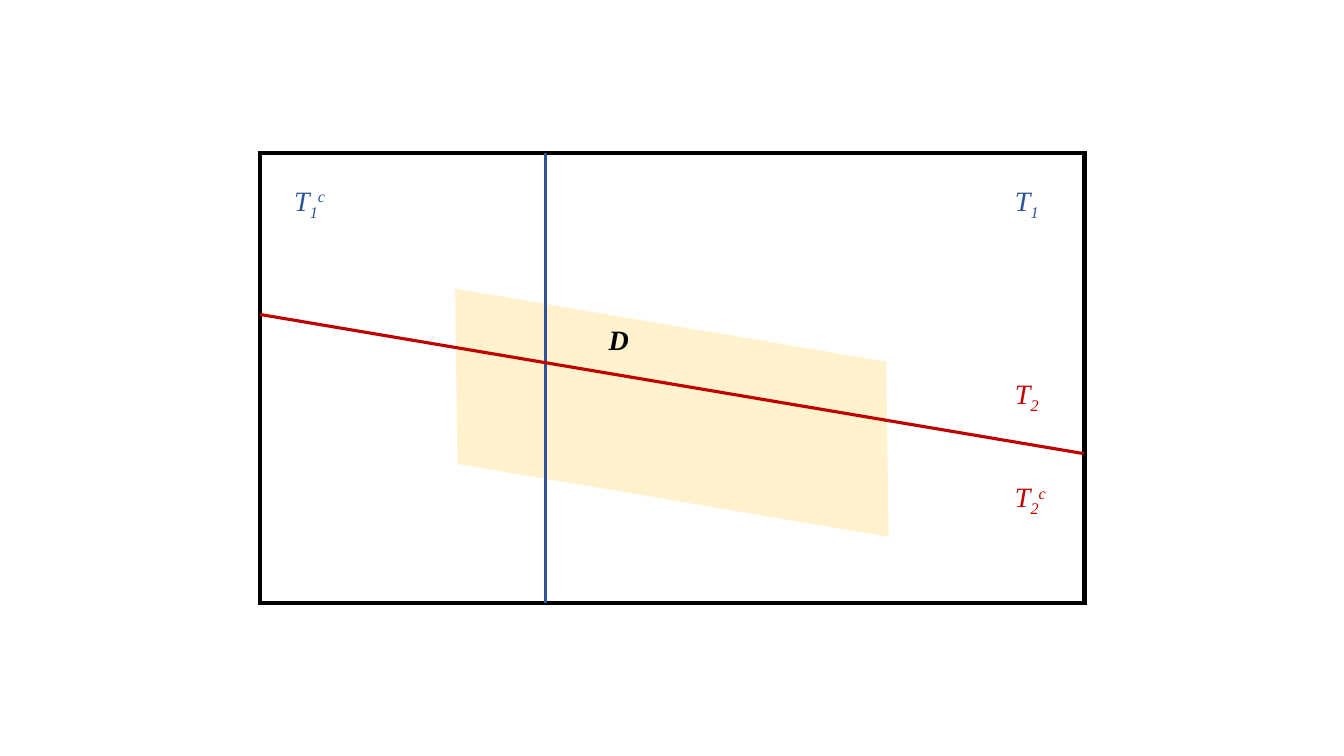
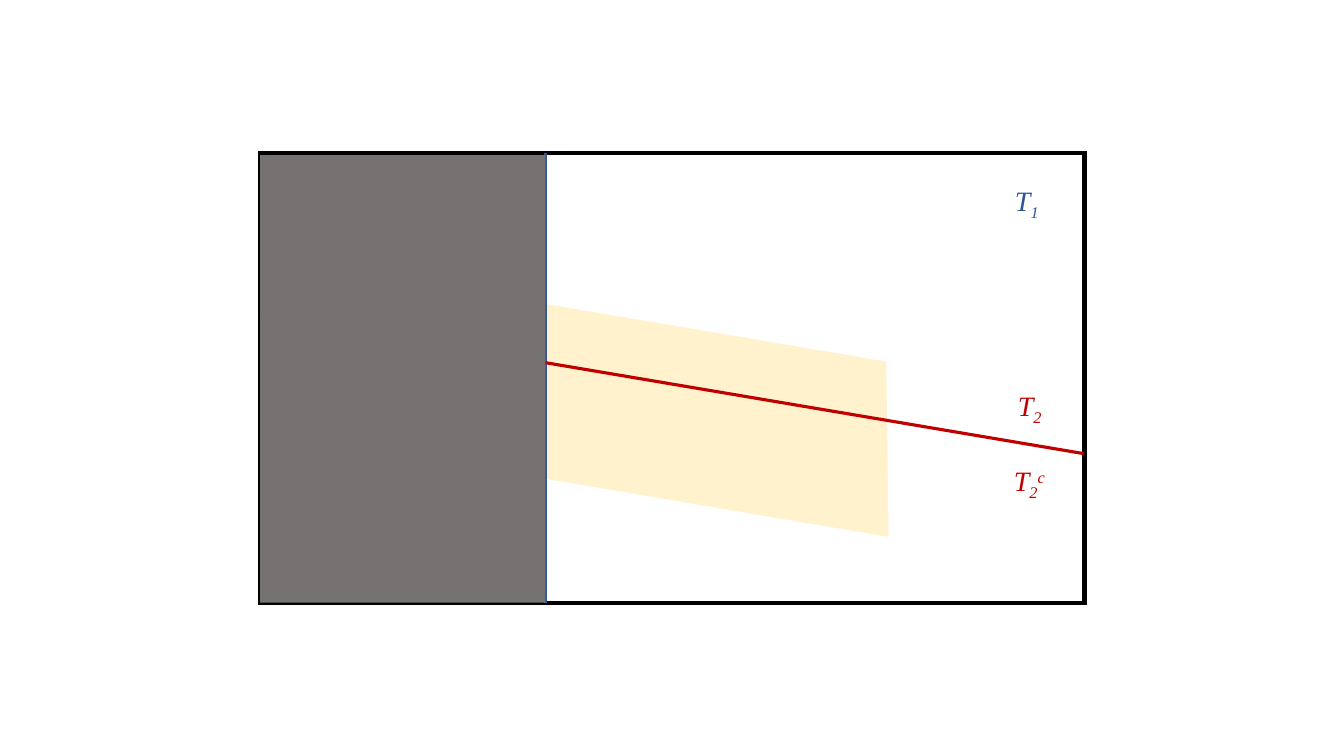
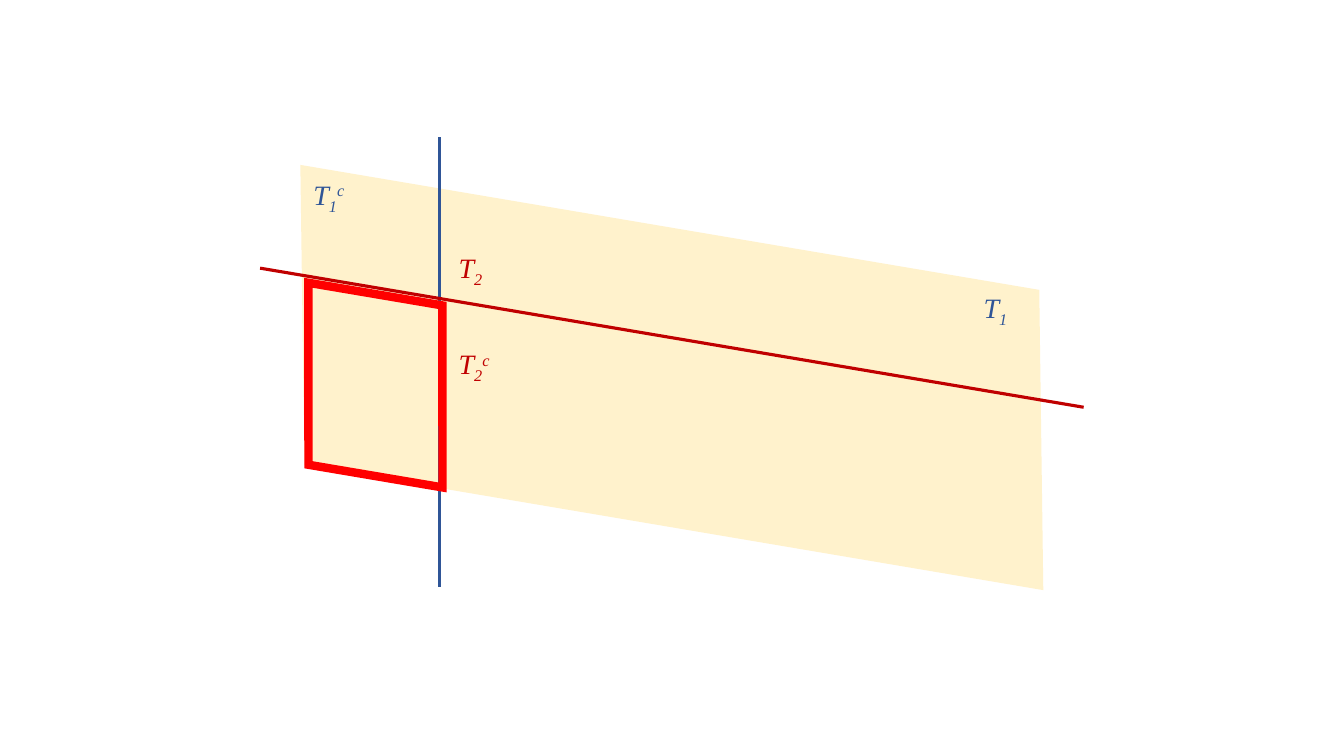
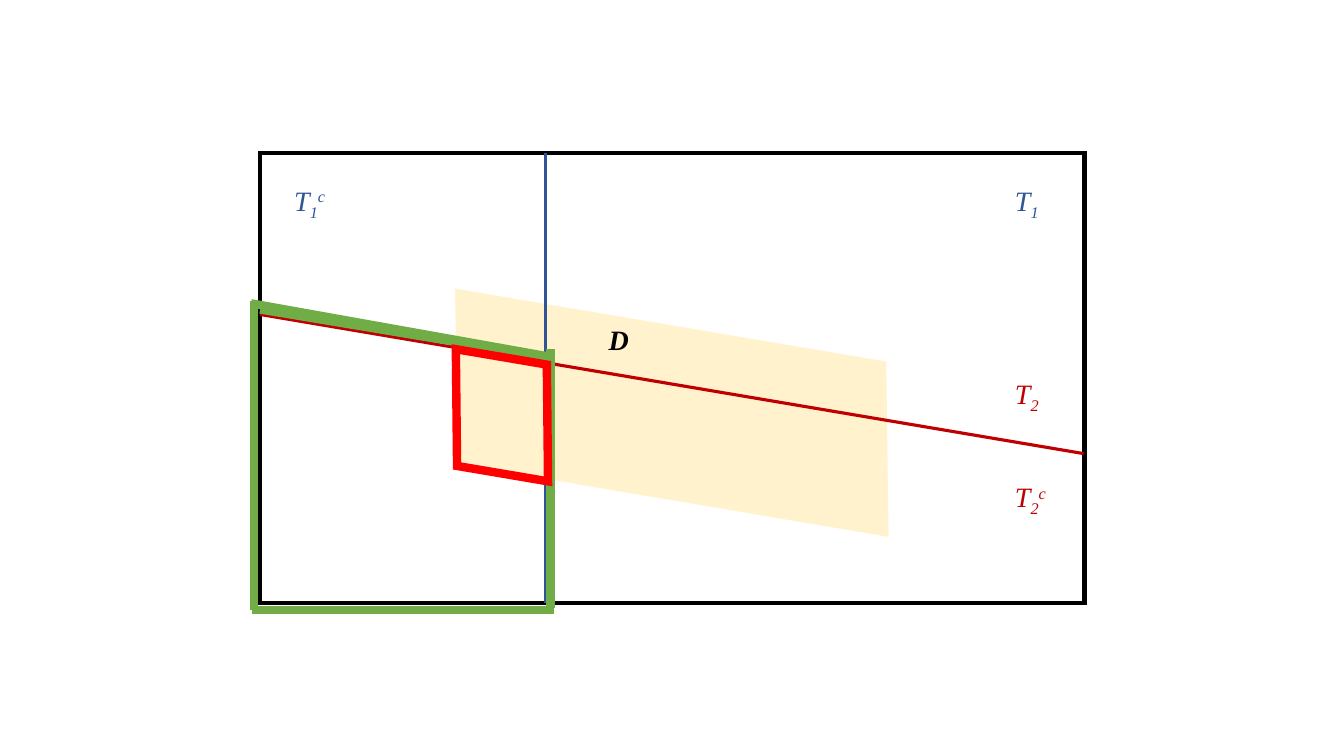
from dataclasses import dataclass
from lxml.etree import SubElement
from pptx import Presentation
from pptx.dml.color import RGBColor
from pptx.enum.shapes import MSO_CONNECTOR, MSO_SHAPE
from pptx.enum.text import MSO_AUTO_SIZE
from pptx.oxml.ns import qn
from pptx.util import Inches, Pt


@dataclass(frozen=True)
class Theme:
    """Colours, type and line widths of the deck."""
    black: str = "000000"
    blue: str = "2F5597"
    dark: str = "C00000"
    red: str = "FF0000"
    green: str = "70AD47"
    cream: str = "FFF2CC"
    grey: str = "767171"
    font: str = "Times New Roman"
    size: float = 20
    thin: float = 2.25
    edge: float = 3
    bold: float = 6
    tilt: float = 9.6
    slant: float = 0.183
    sub: int = -25
    sup: int = 30


class Deck:
    """Draws on the current slide; lengths are percent of its size."""

    def __init__(self, theme):
        """Start an empty wide deck."""
        self.theme = theme
        self.file = Presentation()
        self.file.slide_width = Inches(13.333)
        self.file.slide_height = Inches(7.5)
        self.slide = None

    def page(self):
        """Add a blank slide and make it current."""
        self.slide = self.file.slides.add_slide(self.file.slide_layouts[6])

    def place(self, *spots):
        """Turn alternating across and down shares into lengths."""
        sides = (self.file.slide_width, self.file.slide_height)
        return [round(spot * sides[i % 2] / 100) for i, spot in enumerate(spots)]

    def stroke(self, line, color, width):
        """Set a line's colour and width."""
        line.color.rgb = RGBColor.from_string(color)
        line.width = Pt(width)

    def shape(self, kind, box, fill=None, line=None, width=0):
        """Add a preset shape with an optional fill and a sharp outline."""
        shape = self.slide.shapes.add_shape(kind, *self.place(*box))
        shape.shadow.inherit = False
        if fill:
            shape.fill.solid()
            shape.fill.fore_color.rgb = RGBColor.from_string(fill)
        else:
            shape.fill.background()
        if line:
            self.stroke(shape.line, line, width)
            join = SubElement(shape.line._get_or_add_ln(), qn("a:miter"))
            join.set("lim", "800000")
        else:
            shape.line.fill.background()
        return shape

    def rect(self, box, **style):
        """Add an upright rectangle."""
        self.shape(MSO_SHAPE.RECTANGLE, box, **style)

    def skew(self, box, **style):
        """Add a mirrored, tilted parallelogram."""
        shape = self.shape(MSO_SHAPE.PARALLELOGRAM, box, **style)
        shape.adjustments[0] = self.theme.slant
        shape.rotation = self.theme.tilt
        shape._element.spPr.find(qn("a:xfrm")).set("flipH", "1")

    def line(self, ends, color, width):
        """Add a straight line from one point to another."""
        line = self.slide.shapes.add_connector(
            MSO_CONNECTOR.STRAIGHT, *self.place(*ends))
        self.stroke(line.line, color, width)
        SubElement(line._element.spPr, qn("a:effectLst"))

    def label(self, x, y, color, text, sub="", sup="", bold=False):
        """Add an italic symbol with its subscript and superscript."""
        box = self.slide.shapes.add_textbox(*self.place(x, y, 4.65, 5.87))
        frame = box.text_frame
        frame.word_wrap = True
        frame.auto_size = MSO_AUTO_SIZE.SHAPE_TO_FIT_TEXT
        parts = ((text, 0), (sub, self.theme.sub), (sup, self.theme.sup))
        for part, shift in parts:
            if not part:
                continue
            run = frame.paragraphs[0].add_run()
            run.text = part
            font = run.font
            font.name, font.size = self.theme.font, Pt(self.theme.size)
            font.italic, font.bold = True, bold
            font.color.rgb = RGBColor.from_string(color)
            if shift:
                run._r.get_or_add_rPr().set("baseline", str(shift * 1000))

    def cuts(self, x, top, left):
        """Add the upright T1 cut and the sloping T2 cut."""
        theme = self.theme
        self.line((x, top, x, top + 59.47), theme.blue, theme.thin)
        self.line((19.35, left, 80.63, left + 18.4), theme.dark, theme.thin)

    def marks(self, one=None, onec=None, two=None, twoc=None):
        """Label the two sides of each cut at the given spots."""
        blue, dark = self.theme.blue, self.theme.dark
        rows = ((one, blue, "1", ""), (onec, blue, "1", "c"),
                (two, dark, "2", ""), (twoc, dark, "2", "c"))
        for spot, color, sub, sup in rows:
            if spot:
                self.label(*spot, color, "T", sub, sup)

    def space(self):
        """Start a slide with the framed region and both cuts."""
        theme = self.theme
        self.page()
        self.skew((32.55, 43.2, 34.88, 22.8), fill=theme.cream)
        self.rect((19.35, 20.27, 61.35, 59.47),
                  line=theme.black, width=theme.edge)
        self.cuts(40.58, 20.27, 41.6)

    def whole(self):
        """Start a framed slide with every label."""
        self.space()
        self.label(44.55, 42, self.theme.black, "D", bold=True)
        self.marks((74.78, 23.6), (21.15, 23.6), (74.78, 49.2), (74.78, 62.8))

    def focus(self, box):
        """Outline the selected part of the region."""
        self.skew(box, line=self.theme.red, width=self.theme.bold)


def main():
    """Build the four slides."""
    theme = Theme()
    deck = Deck(theme)

    deck.whole()

    deck.space()
    deck.marks(one=(74.78, 23.6), two=(75, 50.8), twoc=(74.7, 60.67))
    deck.rect((19.35, 20.53, 21.23, 59.2), fill=theme.grey)

    deck.page()
    deck.skew((20.1, 30.4, 59.78, 39.07), fill=theme.cream)
    deck.cuts(32.7, 18.13, 35.47)
    deck.marks((72.45, 37.73), (22.58, 22.8), (33.38, 32.53), (33.38, 45.2))
    deck.focus((21.75, 39.07, 12.38, 23.73))

    deck.whole()
    border = ((18.9, 39.87, 18.9, 80.67), (41.25, 80.67, 18.75, 80.67),
              (40.95, 46.13, 40.95, 80.4), (40.58, 47.2, 19.35, 40.93),
              (40.95, 47.2, 18.68, 40.13))
    for ends in border:
        deck.line(ends, theme.green, theme.bold)
    deck.focus((33.15, 47.33, 8.4, 15.2))

    deck.file.save("out.pptx")


main()
